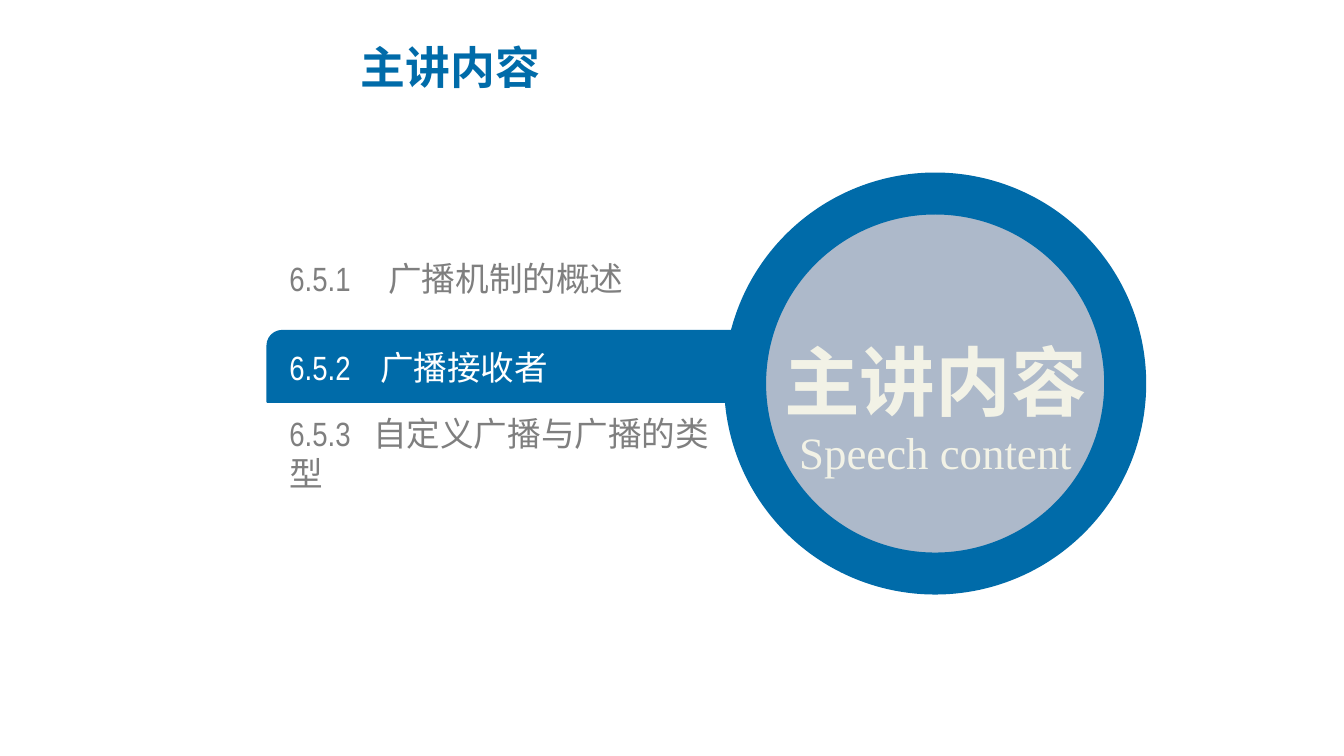
from lxml import etree
from pptx import Presentation
from pptx import util as u
from pptx.dml.color import RGBColor
from pptx.enum import shapes, text
from pptx.oxml import ns

BLUE, GREY, WHITE, CREAM, MIST = "006BA9", "7F7F7F", "FFFFFF", "F2F2E6", "ADB9CA"
HAN = "Noto Sans CJK SC"


def paint(target, color):
    target.rgb = RGBColor.from_string(color)


def write(para, words, size, color, font=HAN, bold=False, align="LEFT", tab=None, lead=None):
    para.alignment = getattr(text.PP_ALIGN, align)
    if lead:
        para.line_spacing = lead
    if tab:
        stops = etree.SubElement(para._p.get_or_add_pPr(), ns.qn("a:tabLst"))
        etree.SubElement(stops, ns.qn("a:tab"), pos=str(u.Inches(tab)), algn="l")
    run = para.add_run()
    run.text = words
    run.font.size = u.Pt(size)
    run.font.bold = bold
    run.font.name = font
    paint(run.font.color, color)
    etree.SubElement(run._r.get_or_add_rPr(), ns.qn("a:ea"), typeface=HAN)


class Deck:
    def __init__(self):
        self.prs = Presentation()
        self.prs.slide_width = u.Inches(13.33)
        self.prs.slide_height = u.Inches(7.5)
        self.slide = self.prs.slides.add_slide(self.prs.slide_layouts[5])

    def title(self, words, box):
        head = self.slide.shapes.title
        head.left, head.top, head.width, head.height = map(u.Inches, box)
        frame = head.text_frame
        frame.word_wrap = True
        frame.auto_size = text.MSO_AUTO_SIZE.NONE
        frame.vertical_anchor = text.MSO_ANCHOR.MIDDLE
        write(frame.paragraphs[0], words, 32, BLUE, bold=True)

    def shape(self, kind, box, fill, width):
        item = self.slide.shapes.add_shape(kind, *map(u.Inches, box))
        item.shadow.inherit = False
        item.fill.solid()
        paint(item.fill.fore_color, fill)
        paint(item.line.color, BLUE)
        item.line.width = u.Pt(width)
        return item

    def label(self, box, inset=True):
        frame = self.slide.shapes.add_textbox(*map(u.Inches, box)).text_frame
        frame.word_wrap = True
        frame.auto_size = text.MSO_AUTO_SIZE.SHAPE_TO_FIT_TEXT
        frame.vertical_anchor = text.MSO_ANCHOR.MIDDLE
        if not inset:
            frame.margin_left = frame.margin_right = 0
            frame.margin_top = frame.margin_bottom = 0
        return frame


def main():
    deck = Deck()
    deck.title("主讲内容", (3.48, 0.24, 5.63, 0.84))

    band = deck.shape(shapes.MSO_SHAPE.ROUND_2_DIAG_RECTANGLE, (2.65, 3.28, 5.43, 0.71), BLUE, 1)
    band.adjustments[0] = 0.209
    band.adjustments[1] = 0

    topics = [
        ("6.5.1\t广播机制的概述", 2.56, 4.19, 0.4, GREY, 0.98),
        ("6.5.2\t广播接收者", 3.44, 4.19, 0.4, WHITE, 0.9),
        ("6.5.3\t自定义广播与广播的类型", 4.09, 4.35, 0.81, GREY, 0.83),
    ]
    for words, top, width, height, color, tab in topics:
        frame = deck.label((2.87, top, width, height), inset=False)
        write(frame.paragraphs[0], words, 24, color, "Arial Narrow", tab=tab)

    deck.shape(shapes.MSO_SHAPE.OVAL, (7.39, 1.92, 3.77, 3.77), MIST, 30)
    frame = deck.label((7.33, 2.81, 3.9, 2))
    write(frame.paragraphs[0], "主讲内容", 54, CREAM, bold=True, align="CENTER", lead=1.5)
    write(frame.add_paragraph(), "Speech content", 32, CREAM, "Times New Roman", align="CENTER")

    deck.prs.save("out.pptx")


if __name__ == "__main__":
    main()
